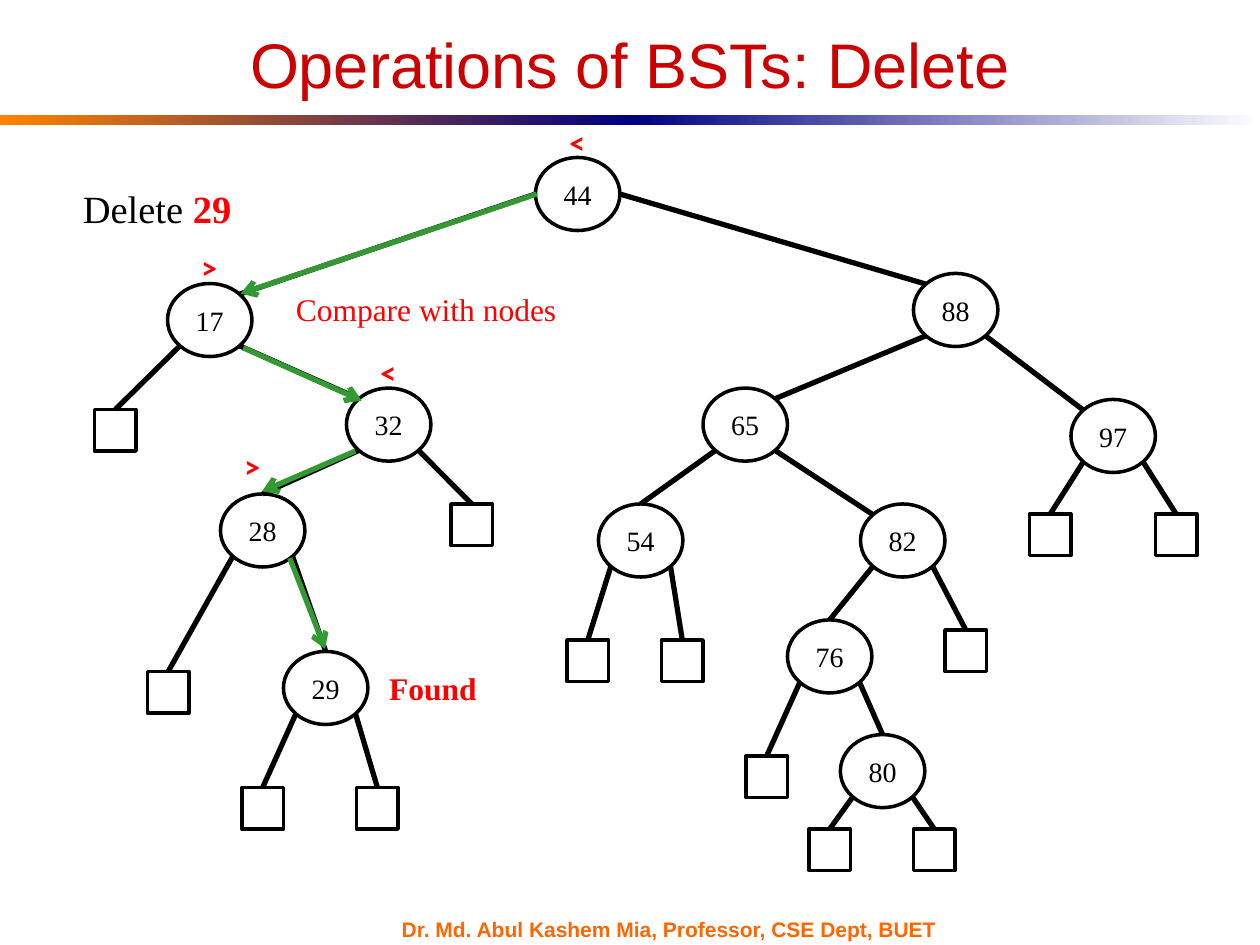
"""Build a slide that traces a delete operation through a binary search tree."""
from dataclasses import dataclass
from math import sqrt

from lxml.etree import SubElement
from pptx import Presentation
from pptx.dml.color import RGBColor as Rgb
from pptx.enum.shapes import MSO_CONNECTOR as Connector, MSO_SHAPE as Shape
from pptx.enum.text import MSO_ANCHOR as Anchor, MSO_AUTO_SIZE as AutoSize, PP_ALIGN as Align
from pptx.oxml.ns import qn
from pptx.util import Inches, Pt

COLORS = {
    "ink": "000000", "paper": "FFFFFF", "mark": "FF0000", "path": "339933",
    "title": "CC0000", "footer": "FF6600", "orange": "FF8200", "navy": "000082",
}
NODE_WIDTH, NODE_HEIGHT, LEAF_SIZE = 0.67, 0.58, 0.33
SERIF, SANS, SYMBOL = "Times New Roman", "Arial", "Calibri"
MARK_FORMAT = {"name": SYMBOL, "size": Pt(18), "bold": True}
NOTE_FORMAT = {"name": SERIF, "size": Pt(18)}
TASK_FORMAT = {"name": SERIF, "size": Pt(22)}
KEY_FORMAT = {"name": SERIF, "size": Pt(16)}
FREE_FRAME = {"word_wrap": False, "auto_size": AutoSize.SHAPE_TO_FIT_TEXT}
FOOTER_FRAME = {"word_wrap": False, "vertical_anchor": Anchor.MIDDLE}
CENTER_FRAME = {"word_wrap": True, "vertical_anchor": Anchor.MIDDLE}


@dataclass
class Node:
    """A keyed tree node; side is its branch, entry the corner its edge meets."""
    left: float
    top: float
    parent: int = 0
    side: int = 0
    entry: int = 0


@dataclass
class Leaf:
    """An empty external node below a parent."""
    left: float
    top: float
    parent: int
    side: int


@dataclass
class Span:
    """A stretch of text with one format."""
    text: str
    color: str
    font: dict


@dataclass
class Label:
    """A text box with its spans."""
    left: float
    top: float
    width: float
    height: float
    spans: list
    frame: dict
    align: Align = Align.LEFT


NODES = {
    44: Node(4.25, 1.25),
    17: Node(1.33, 2.25, 44, -1, 1),
    32: Node(2.75, 3.08, 17, 1, -1),
    28: Node(1.75, 3.92, 32, -1),
    29: Node(2.25, 5.17, 28, 1),
    88: Node(7.25, 2.17, 44, 1, -1),
    65: Node(5.58, 3.08, 88, -1, 1),
    97: Node(8.5, 3.17, 88, 1, -1),
    54: Node(4.75, 4, 65, -1),
    82: Node(6.83, 4, 65, 1, -1),
    76: Node(6.25, 4.92, 82, -1),
    80: Node(6.67, 5.83, 76, 1),
}
LEAVES = [
    Leaf(0.75, 3.25, 17, -1), Leaf(3.58, 4, 32, 1), Leaf(1.17, 5.33, 28, -1),
    Leaf(1.92, 6.25, 29, -1), Leaf(2.83, 6.25, 29, 1),
    Leaf(4.5, 5.08, 54, -1), Leaf(5.25, 5.08, 54, 1),
    Leaf(8.17, 4.08, 97, -1), Leaf(9.17, 4.08, 97, 1),
    Leaf(5.92, 6, 76, -1), Leaf(7.5, 5, 82, 1),
    Leaf(6.42, 6.58, 80, -1), Leaf(7.25, 6.58, 80, 1),
]
SEARCH_STEPS = [
    ((4.26, 1.54), (1.91, 2.33)), ((1.93, 2.76), (2.87, 3.18)),
    ((2.82, 3.58), (2.08, 3.9)), ((2.3, 4.43), (2.58, 5.15)),
]
COMPARISONS = [("<", 4.42, 0.93), (">", 1.5, 1.92), ("<", 2.92, 2.75), (">", 1.84, 3.5)]
LABELS = [
    Label(0.5, 0.25, 9, 0.51,
          [Span("Operations of BSTs: Delete", "title", {"name": SANS, "size": Pt(36)})],
          CENTER_FRAME, Align.CENTER),
    Label(0.56, 1.42, 1.55, 0.47,
          [Span("Delete ", "ink", TASK_FORMAT), Span("29", "mark", TASK_FORMAT | {"bold": True})],
          FREE_FRAME),
    Label(2.25, 2.25, 2.64, 0.4, [Span("Compare with nodes", "mark", NOTE_FORMAT)], FREE_FRAME),
    Label(2.99, 5.26, 0.98, 0.4,
          [Span("Found", "mark", NOTE_FORMAT | {"bold": True})], FREE_FRAME),
    Label(3.09, 7.28, 4.67, 0.18,
          [Span("Dr. Md. Abul Kashem Mia, Professor, CSE Dept, BUET", "footer",
                {"name": SANS, "size": Pt(12), "bold": True})], FOOTER_FRAME),
] + [
    Label(left, top, 0.32, 0.4, [Span(sign, "mark", MARK_FORMAT)], FREE_FRAME)
    for sign, left, top in COMPARISONS
]


def color(name: str) -> Rgb:
    """Look up a colour by name."""
    return Rgb.from_string(COLORS[name])


def write(box, spans: list, frame: dict, align: Align) -> None:
    """Fill a shape with formatted text."""
    for name, value in frame.items():
        setattr(box.text_frame, name, value)
    para = box.text_frame.paragraphs[0]
    para.alignment = align
    for span in spans:
        run = para.add_run()
        run.text = span.text
        run.font.color.rgb = color(span.color)
        for name, value in span.font.items():
            setattr(run.font, name, value)


def add_outline(page, kind: Shape, left: float, top: float, width: float, height: float):
    """Add a white shape with a black outline."""
    shape = page.shapes.add_shape(kind, Inches(left), Inches(top), Inches(width), Inches(height))
    shape.shadow.inherit = False
    shape.fill.solid()
    shape.fill.fore_color.rgb = color("paper")
    shape.line.color.rgb = color("ink")
    shape.line.width = Pt(2)
    return shape


def add_band(page, left: float, start: str, end: str) -> None:
    """Add one half of the gradient rule under the title."""
    band = page.shapes.add_shape(Shape.RECTANGLE, Inches(left), Inches(0.91), Inches(5), Inches(0.08))
    band.shadow.inherit = False
    band.line.fill.background()
    band.fill.gradient()
    band.fill.gradient_angle = 0
    for stop, name, position in zip(band.fill.gradient_stops, (start, end), (0, 1)):
        stop.color.rgb = color(name)
        stop.position = position


def add_line(page, start: tuple, end: tuple, name: str, arrow: bool = False) -> None:
    """Draw a straight line, with an arrowhead at its end if wanted."""
    points = [Inches(value) for value in (*start, *end)]
    line = page.shapes.add_connector(Connector.STRAIGHT, *points)
    line.line.color.rgb = color(name)
    line.line.width = Pt(3)
    if arrow:
        SubElement(line.line._get_or_add_ln(), qn("a:tailEnd"), type="arrow")
    SubElement(line._element.spPr, qn("a:effectLst"))


def rim(node: Node, across: int, down: int) -> tuple:
    """Give the point on a node's rim in one of eight directions."""
    scale = 0.5 / sqrt(abs(across) + abs(down))
    return (node.left + NODE_WIDTH * (0.5 + across * scale),
            node.top + NODE_HEIGHT * (0.5 + down * scale))


def branch(parent: int, side: int) -> tuple:
    """Give the point where a child's edge leaves its parent."""
    return rim(NODES[parent], side, 1 if NODES[parent].parent else 0)


def main() -> None:
    """Draw the slide and save the deck."""
    deck = Presentation()
    deck.slide_width, deck.slide_height = Inches(10), Inches(7.5)
    page = deck.slides.add_slide(deck.slide_layouts[6])
    add_band(page, 0, "orange", "navy")
    add_band(page, 5, "navy", "paper")
    for key, node in NODES.items():
        circle = add_outline(page, Shape.OVAL, node.left, node.top, NODE_WIDTH, NODE_HEIGHT)
        write(circle, [Span(str(key), "ink", KEY_FORMAT)], CENTER_FRAME, Align.CENTER)
    for node in NODES.values():
        if node.parent:
            add_line(page, branch(node.parent, node.side), rim(node, node.entry, -1), "ink")
    for leaf in LEAVES:
        add_outline(page, Shape.RECTANGLE, leaf.left, leaf.top, LEAF_SIZE, LEAF_SIZE)
        add_line(page, branch(leaf.parent, leaf.side), (leaf.left + LEAF_SIZE / 2, leaf.top), "ink")
    for start, end in SEARCH_STEPS:
        add_line(page, start, end, "path", arrow=True)
    for label in LABELS:
        area = (label.left, label.top, label.width, label.height)
        box = page.shapes.add_textbox(*map(Inches, area))
        write(box, label.spans, label.frame, label.align)
    deck.save("out.pptx")


main()
